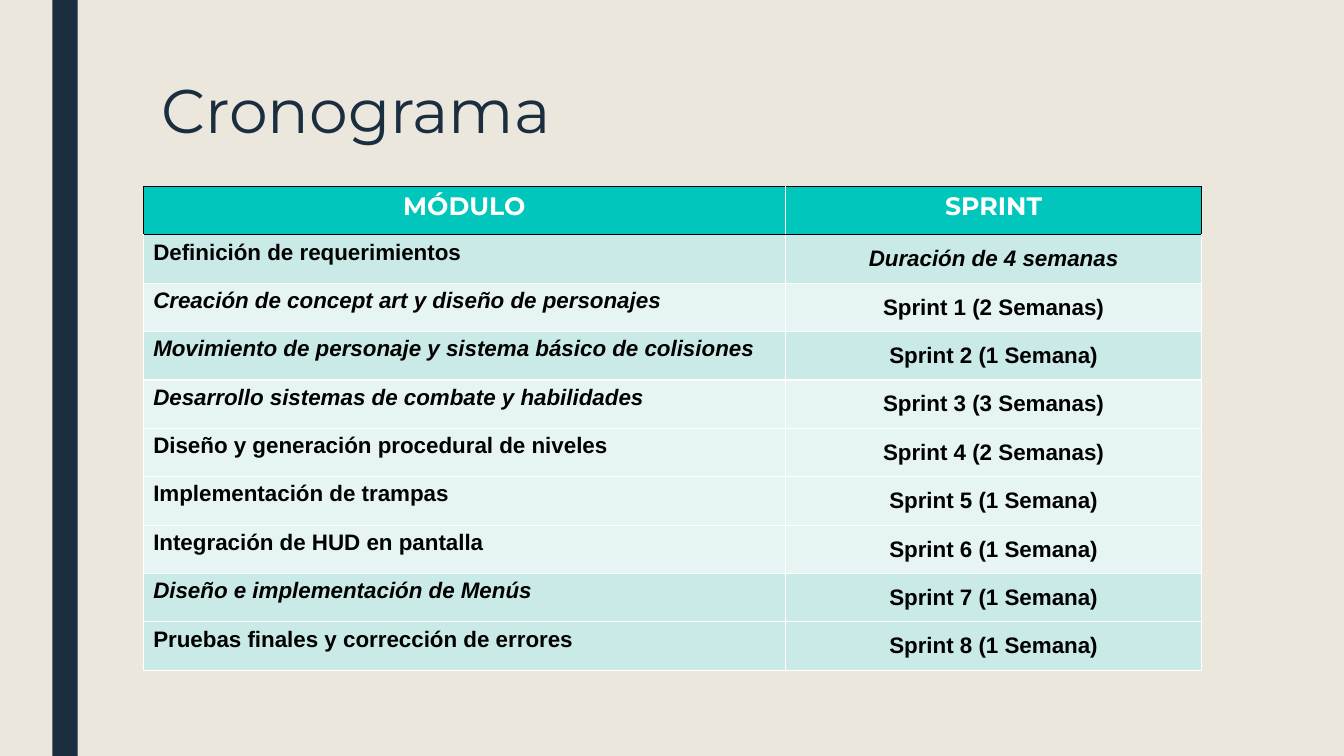
from dataclasses import dataclass

from lxml.etree import SubElement
from pptx import Presentation
from pptx.dml.color import RGBColor
from pptx.enum.shapes import MSO_SHAPE
from pptx.enum.text import MSO_ANCHOR as Anchor, PP_ALIGN as Align
from pptx.oxml.ns import qn
from pptx.util import Inches, Pt


@dataclass(frozen=True)
class Theme:
    background: str = "EBE7DD"
    navy: str = "1A2E40"
    teal: str = "00C6BB"
    row_dark: str = "CAEAE7"
    row_light: str = "E6F5F3"
    white: str = "FFFFFF"
    black: str = "000000"
    heading_font: str = "Montserrat"
    body_font: str = "Arial"
    title_size: int = 44
    header_size: int = 18
    body_size: int = 16


THEME = Theme()
HEADINGS = ("MÓDULO", "SPRINT")
COLUMN_WIDTHS = (6.37, 4.13)
ROW_HEIGHT = 0.48

# module, module in italics, sprint, sprint in italics, row fill
SCHEDULE = [
    ("Definición de requerimientos", False, "Duración de 4 semanas", True, THEME.row_dark),
    ("Creación de concept art y diseño de personajes", True, "Sprint 1 (2 Semanas)", False, THEME.row_light),
    ("Movimiento de personaje y sistema básico de colisiones", True, "Sprint 2 (1 Semana)", False, THEME.row_dark),
    ("Desarrollo sistemas de combate y habilidades", True, "Sprint 3 (3 Semanas)", False, THEME.row_light),
    ("Diseño y generación procedural de niveles", False, "Sprint 4 (2 Semanas)", False, THEME.row_light),
    ("Implementación de trampas", False, "Sprint 5 (1 Semana)", False, THEME.row_light),
    ("Integración de HUD en pantalla", False, "Sprint 6 (1 Semana)", False, THEME.row_light),
    ("Diseño e implementación de Menús", True, "Sprint 7 (1 Semana)", False, THEME.row_dark),
    ("Pruebas finales y corrección de errores", False, "Sprint 8 (1 Semana)", False, THEME.row_dark),
]


def paint(fill, color):
    fill.solid()
    fill.fore_color.rgb = RGBColor.from_string(color)


def write(frame, text, *, font, size, color, bold=False, italic=False,
          align=Align.LEFT, line_spacing=None):
    paragraph = frame.paragraphs[0]
    paragraph.alignment = align
    paragraph.line_spacing = line_spacing
    run = paragraph.add_run()
    run.text = text
    run.font.name = font
    run.font.size = Pt(size)
    run.font.bold = bold
    run.font.italic = italic
    run.font.color.rgb = RGBColor.from_string(color)


def set_borders(cell, black_sides):
    """Give the named sides a thin black line and the others a white one."""
    properties = cell._tc.get_or_add_tcPr()
    for side in "LRTB":
        color, width = (THEME.black, 0.75) if side in black_sides else (THEME.white, 1)
        line = SubElement(properties, qn(f"a:ln{side}"), w=str(Pt(width)))
        SubElement(SubElement(line, qn("a:solidFill")), qn("a:srgbClr"), val=color)


def fill_cell(cell, text, fill, black_sides="", anchor=Anchor.TOP, **text_format):
    set_borders(cell, black_sides)
    paint(cell.fill, fill)
    cell.margin_left = cell.margin_right = Inches(0.1)
    cell.margin_top = cell.margin_bottom = Inches(0.05)
    cell.vertical_anchor = anchor
    write(cell.text_frame, text, bold=True, **text_format)


def add_side_bar(slide, left, top, width, height):
    bar = slide.shapes.add_shape(MSO_SHAPE.RECTANGLE, Inches(left), Inches(top),
                                 Inches(width), Inches(height))
    bar.shadow.inherit = False
    paint(bar.fill, THEME.navy)
    bar.line.fill.background()


def add_title(slide, left, top, width, height):
    box = slide.shapes.add_textbox(Inches(left), Inches(top), Inches(width), Inches(height))
    box.text_frame.word_wrap = True
    write(box.text_frame, "Cronograma", font=THEME.heading_font, size=THEME.title_size,
          color=THEME.navy, line_spacing=0.89)


def add_schedule(slide, left, top):
    row_count = len(SCHEDULE) + 1
    table = slide.shapes.add_table(
        row_count, len(HEADINGS), Inches(left), Inches(top),
        Inches(sum(COLUMN_WIDTHS)), Inches(ROW_HEIGHT * row_count)).table
    for column, width in zip(table.columns, COLUMN_WIDTHS):
        column.width = Inches(width)
    for row in table.rows:
        row.height = Inches(ROW_HEIGHT)

    for column, (heading, sides) in enumerate(zip(HEADINGS, ("LTB", "RTB"))):
        fill_cell(table.cell(0, column), heading, THEME.teal, sides, align=Align.CENTER,
                  font=THEME.heading_font, size=THEME.header_size, color=THEME.white)

    body = dict(font=THEME.body_font, size=THEME.body_size, color=THEME.black)
    for row, (module, module_italic, sprint, sprint_italic, fill) in enumerate(SCHEDULE, 1):
        sides = "T" if row == 1 else ""
        fill_cell(table.cell(row, 0), module, fill, sides, italic=module_italic, **body)
        fill_cell(table.cell(row, 1), sprint, fill, sides, Anchor.MIDDLE,
                  italic=sprint_italic, align=Align.CENTER, **body)


def main():
    presentation = Presentation()
    presentation.slide_width = Inches(13.33)
    presentation.slide_height = Inches(7.5)
    slide = presentation.slides.add_slide(presentation.slide_layouts[6])
    paint(slide.background.fill, THEME.background)
    add_side_bar(slide, 0.52, 0, 0.25, 7.5)
    add_title(slide, 1.5, 0.75, 5.7, 1.22)
    add_schedule(slide, 1.42, 1.85)
    presentation.save("out.pptx")


if __name__ == "__main__":
    main()
